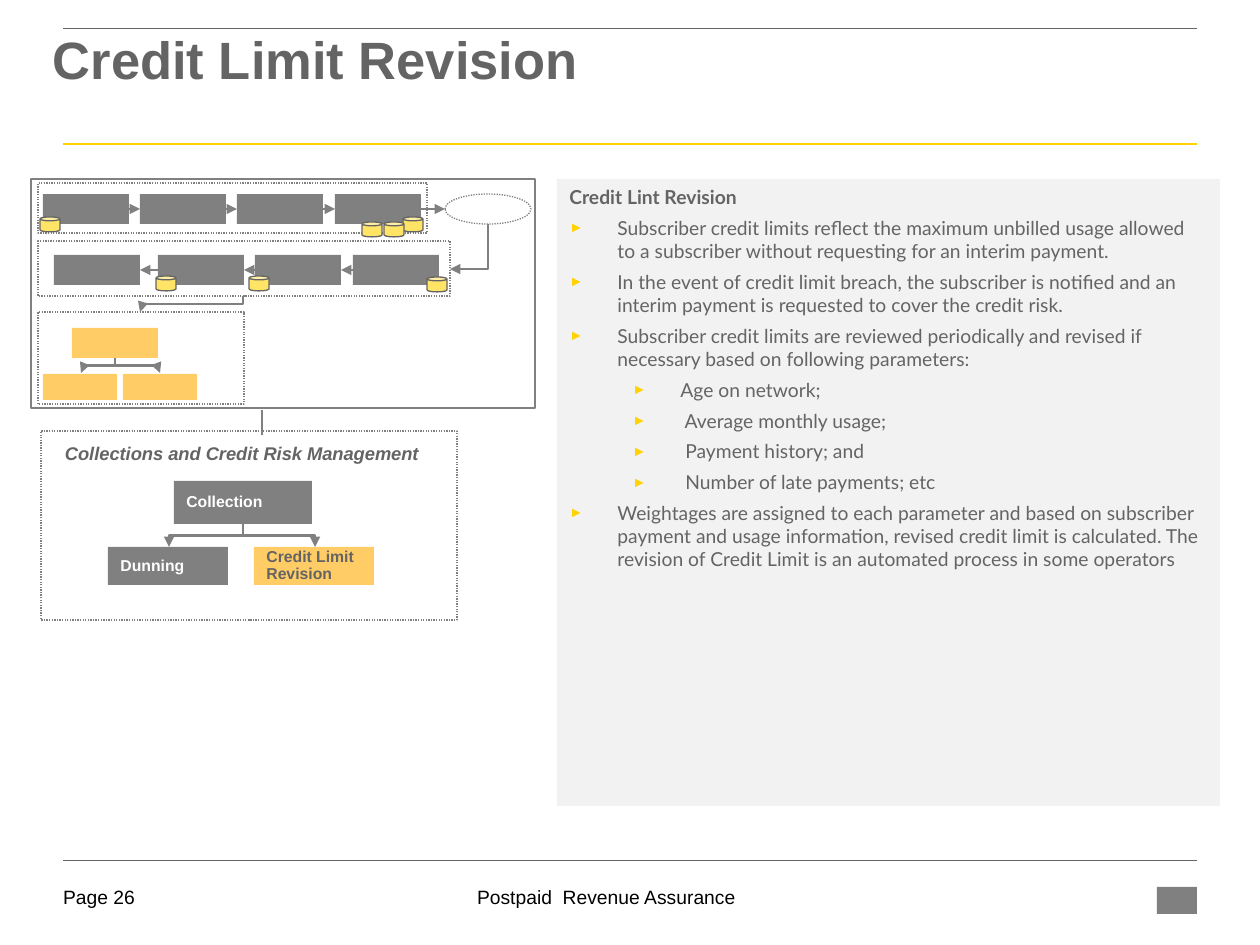
from lxml import etree
from pptx import Presentation, util as u
from pptx.dml.color import RGBColor
from pptx.enum import dml, shapes, text
from pptx.oxml.ns import qn

PX = 914400 / 126
GREY, DARK, AMBER, YELLOW = "808080", "646464", "FFCC66", "FFD200"
KIND, JOIN = shapes.MSO_SHAPE, shapes.MSO_CONNECTOR
POINTS = [
    (0, "Subscriber credit limits reflect the maximum unbilled usage allowed to a "
        "subscriber without requesting for an interim payment."),
    (0, "In the event of credit limit breach, the subscriber is notified and an "
        "interim payment is requested to cover the credit risk."),
    (0, "Subscriber credit limits are reviewed periodically and revised if "
        "necessary based on following parameters:"),
    (1, "Age on network;"),
    (1, " Average monthly usage;"),
    (1, " Payment history; and"),
    (1, " Number of late payments; etc"),
    (0, "Weightages are assigned to each parameter and based on subscriber payment "
        "and usage information, revised credit limit is calculated. The revision of "
        "Credit Limit is an automated process in some operators"),
]


def px(n):
    return u.Emu(round(n * PX))


def rgb(code):
    return RGBColor.from_string(code)


def style(para, size, color, bold=False, italic=False, face="Arial"):
    font = para.font
    font.name, font.size, font.color.rgb = face, u.Pt(size), rgb(color)
    font.bold, font.italic = bold, italic


def shape(slide, box, fill=None, line=None, width=0.75, dots=False, kind=KIND.RECTANGLE):
    item = slide.shapes.add_shape(kind, *map(px, box))
    item.shadow.inherit = False
    if fill:
        item.fill.solid()
        item.fill.fore_color.rgb = rgb(fill)
    else:
        item.fill.background()
    if line:
        item.line.color.rgb = rgb(line)
        item.line.width = u.Pt(width)
        if dots:
            item.line.dash_style = dml.MSO_LINE.ROUND_DOT
    else:
        item.line.fill.background()
    return item


def label(slide, box, words, size, color, inset=0, **look):
    frame = slide.shapes.add_textbox(*map(px, box)).text_frame
    frame.word_wrap = True
    frame.margin_left = frame.margin_right = px(inset)
    frame.margin_top = frame.margin_bottom = px(inset // 2)
    para = frame.paragraphs[0]
    para.text = words
    style(para, size, color, **look)
    return frame


def line(slide, start, end, color=GREY, width=1.5, head=False, kind=JOIN.STRAIGHT):
    item = slide.shapes.add_connector(kind, *map(px, start + end))
    item.line.color.rgb = rgb(color)
    item.line.width = u.Pt(width)
    if head:
        etree.SubElement(item.line._get_or_add_ln(), qn("a:tailEnd"), type="triangle")
    etree.SubElement(item._element.spPr, qn("a:effectLst"))
    return item


def elbow(slide, start, end, corner=False):
    """Arrow that leaves downwards; with corner it turns only once."""
    (x1, y1), (x2, y2) = start, end
    mid_x, mid_y = (x1 + x2) / 2, (y1 + y2) / 2
    right = x2 > x1
    half_w = (y2 - y1) / 2 * (-1 if right else 1)
    half_h = abs(x2 - x1) / 2
    item = line(slide, (mid_x - half_w, mid_y - half_h),
                (mid_x + half_w, mid_y + half_h), head=True, kind=JOIN.ELBOW)
    props = item._element.spPr
    props.find(qn("a:xfrm")).set("rot", str((270 if right else 90) * 60000))
    if corner:
        props.find(qn("a:prstGeom")).set("prst", "bentConnector2")


def frame_page(slide):
    """Title, rules and footer."""
    for y, color, width in ((28, DARK, 0.5), (144, YELLOW, 1.5), (860, DARK, 0.25)):
        line(slide, (63, y), (1197, y), color, width)
    title = label(slide, (53, 32, 1134, 118), "Credit Limit Revision", 30, DARK, bold=True)
    title.margin_top = px(5)
    title.paragraphs[0].line_spacing = 0.85
    label(slide, (63, 885, 92, 28), "Page 26", 11, "000000")
    foot = label(slide, (347, 885, 519, 28), "Postpaid  Revenue Assurance", 11, "000000")
    foot.paragraphs[0].alignment = text.PP_ALIGN.CENTER
    shape(slide, (1157, 887, 40, 27), GREY)


def overview(slide, x, y, w, h):
    """Small map of the whole process."""
    def at(dx, dy, *size):
        return (x + dx, y + dy) + size

    shape(slide, (x, y, w, h), line=GREY)
    for area in ((7, 4, 389, 50), (7, 62, 412, 55), (7, 133, 206, 92)):
        shape(slide, at(*area), line=GREY, dots=True)

    bar_w, bar_h = 86, 30
    top = [12 + i * 292 // 3 for i in range(4)]
    low = [23, 127, 224, 322]
    for row, dy in ((top, 15), (low, 76)):
        for dx in row:
            shape(slide, at(dx, dy, bar_w, bar_h), GREY)
    shape(slide, at(414, 15, bar_w, bar_h), line=GREY, dots=True, kind=KIND.OVAL)
    for box in ((41, 149, bar_w, bar_h), (12, 195, 74, 26), (92, 195, 74, 26)):
        shape(slide, at(*box), AMBER)

    for a, b in zip(top, top[1:] + [414]):
        line(slide, at(a + bar_w, 30), at(b, 30), width=1.5 if b == 414 else 0.75, head=True)
    for a, b in zip(low, low[1:]):
        line(slide, at(b, 91), at(a + bar_w, 91), head=True)
    elbow(slide, at(457, 45), at(419, 90), corner=True)
    elbow(slide, at(212, 117), at(109, 133))
    for dx in (129, 50):
        elbow(slide, at(84, 179), at(dx, 194))

    for spot in ((9, 38), (372, 38), (353, 43), (331, 43), (396, 98), (218, 97), (125, 97)):
        can = shape(slide, at(*spot, 20, 15), "FFE466", DARK, kind=KIND.CAN)
        can.adjustments[0] = 0.26


def detail(slide, x, y, w, h):
    """Enlarged part of the map, with its named steps."""
    shape(slide, (x, y, w, h), line=GREY, dots=True)
    label(slide, (x + 12, y + 5, 387, 32), "Collections and Credit Risk Management",
          10.5, DARK, inset=12, bold=True, italic=True)
    steps = (("Collection", (133, 50, 138, 43), GREY, "FFFFFF"),
             ("Dunning", (67, 116, 120, 38), GREY, "FFFFFF"),
             ("Credit Limit Revision", (213, 116, 120, 38), AMBER, DARK))
    for name, (dx, dy, *size), fill, ink in steps:
        frame = shape(slide, (x + dx, y + dy, *size), fill).text_frame
        frame.word_wrap = True
        frame.vertical_anchor = text.MSO_ANCHOR.MIDDLE
        para = frame.paragraphs[0]
        para.text = name
        para.alignment = text.PP_ALIGN.LEFT
        para.line_spacing = 0.9
        style(para, 9, ink, bold=True)
    for dx in (274, 128):
        elbow(slide, (x + 202, y + 93), (x + dx, y + 116))


def bullet(para, level):
    para.level = level
    props = para._p.get_or_add_pPr()
    props.set("marL", str(px(48 + 63 * level)))
    props.set("indent", str(px(-48)))
    tint = etree.SubElement(props, qn("a:buClr"))
    etree.SubElement(tint, qn("a:srgbClr"), val=YELLOW)
    etree.SubElement(props, qn("a:buSzPct"), val="75000")
    etree.SubElement(props, qn("a:buFont"), typeface="Arial")
    etree.SubElement(props, qn("a:buChar"), char="►")


def notes(slide, *box):
    """Grey panel of explanatory points."""
    frame = shape(slide, box, "F2F2F2", "F2F2F2", 0.25, dots=True).text_frame
    frame.word_wrap = True
    frame.vertical_anchor = text.MSO_ANCHOR.TOP
    first = frame.paragraphs[0]
    first.text = "Credit Lint Revision"
    style(first, 11, DARK, bold=True, face="Lato")
    for level, words in POINTS:
        para = frame.add_paragraph()
        para.text = words
        bullet(para, level)
        para.space_before = u.Pt(2.2)
        style(para, 11, DARK, face="Lato")
    for para in frame.paragraphs:
        para.alignment = text.PP_ALIGN.LEFT
        para.space_after = u.Pt(2.2)


def main():
    deck = Presentation()
    deck.slide_width, deck.slide_height = px(1260), px(945)
    slide = deck.slides.add_slide(deck.slide_layouts[6])
    frame_page(slide)
    overview(slide, 31, 179, 504, 229)
    line(slide, (262, 410), (262, 435), width=0.75)
    notes(slide, 557, 179, 662, 626)
    detail(slide, 41, 431, 416, 189)
    deck.save("out.pptx")


if __name__ == "__main__":
    main()
